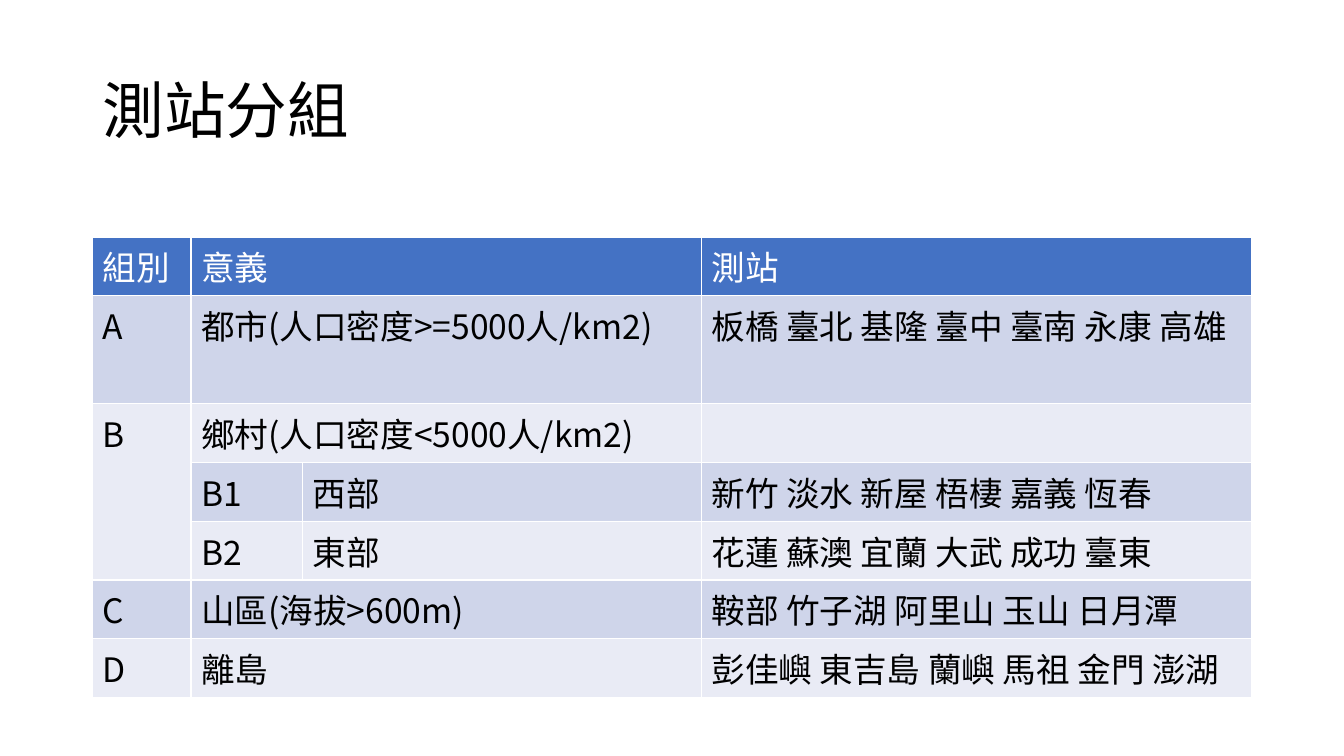
import pptx
import pptx.dml.color
import pptx.enum.text
import pptx.oxml
import pptx.oxml.ns
import pptx.util

Pt = pptx.util.Pt
FONT = "Noto Sans CJK SC"
HEADER_FILL = "4472C4"
BAND_FILLS = ["E9EBF5", "CFD5EA"]


def add_run(para, text, size, color):
    """Add a run with the same font for Latin and East Asian characters."""
    span = para.add_run()
    span.text = text
    span.font.size = Pt(size)
    span.font.bold = False
    span.font.color.rgb = pptx.dml.color.RGBColor.from_string(color)
    span.font.name = FONT
    east_asian = pptx.oxml.parse_xml(
        f'<a:ea {pptx.oxml.ns.nsdecls("a")} typeface="{FONT}"/>')
    span.font._element.find(pptx.oxml.ns.qn("a:latin")).addnext(east_asian)


def paint_cell(cell, color):
    """Give a cell white borders and a solid fill."""
    properties = cell._tc.get_or_add_tcPr()
    for side in "LRTB":
        properties.append(pptx.oxml.parse_xml(
            f'<a:ln{side} {pptx.oxml.ns.nsdecls("a")} w="{Pt(1)}"><a:solidFill>'
            f'<a:srgbClr val="FFFFFF"/></a:solidFill></a:ln{side}>'))
    cell.fill.solid()
    cell.fill.fore_color.rgb = pptx.dml.color.RGBColor.from_string(color)


deck = pptx.Presentation()
deck.slide_width, deck.slide_height = Pt(960), Pt(540)
page = deck.slides.add_slide(deck.slide_layouts[5])

title = page.shapes.title
title.left, title.top, title.width, title.height = Pt(66), Pt(28.75), Pt(828), Pt(104.4)
title.text_frame.word_wrap = True
title.text_frame.vertical_anchor = pptx.enum.text.MSO_ANCHOR.MIDDLE
title_para = title.text_frame.paragraphs[0]
title_para.alignment = pptx.enum.text.PP_ALIGN.LEFT
title_para.line_spacing = 0.9
add_run(title_para, "測站分組", 44, "000000")

# Columns: group, meaning or subgroup, subgroup meaning, stations
rows = [
    ["組別", "意義", "", "測站"],
    ["A", "都市(人口密度>=5000人/km2)", "", "板橋 臺北 基隆 臺中 臺南 永康 高雄"],
    ["B", "鄉村(人口密度<5000人/km2)", "", ""],
    ["", "B1", "西部", "新竹 淡水 新屋 梧棲 嘉義 恆春"],
    ["", "B2", "東部", "花蓮 蘇澳 宜蘭 大武 成功 臺東"],
    ["C", "山區(海拔>600m)", "", "鞍部 竹子湖 阿里山 玉山 日月潭"],
    ["D", "離島", "", "彭佳嶼 東吉島 蘭嶼 馬祖 金門 澎湖"],
]
column_widths = [70.5, 79.5, 285, 393]
row_height = 36

table = page.shapes.add_table(
    len(rows), len(column_widths), Pt(66), Pt(169.25),
    Pt(sum(column_widths)), Pt(row_height * len(rows))).table
for column, width in zip(table.columns, column_widths):
    column.width = Pt(width)

for row_index, texts in enumerate(rows):
    is_header = row_index == 0
    for column_index, text in enumerate(texts):
        cell = table.cell(row_index, column_index)
        # The merged group B cell keeps the band of its first row
        band_row = 2 if column_index == 0 and row_index in (3, 4) else row_index
        paint_cell(cell, HEADER_FILL if is_header else BAND_FILLS[band_row % 2])
        para = cell.text_frame.paragraphs[0]
        para.font.size = Pt(24)
        if text:
            add_run(para, text, 24, "FFFFFF" if is_header else "000000")
    if not texts[2]:
        table.cell(row_index, 1).merge(table.cell(row_index, 2))
table.cell(2, 0).merge(table.cell(4, 0))

deck.save("out.pptx")
